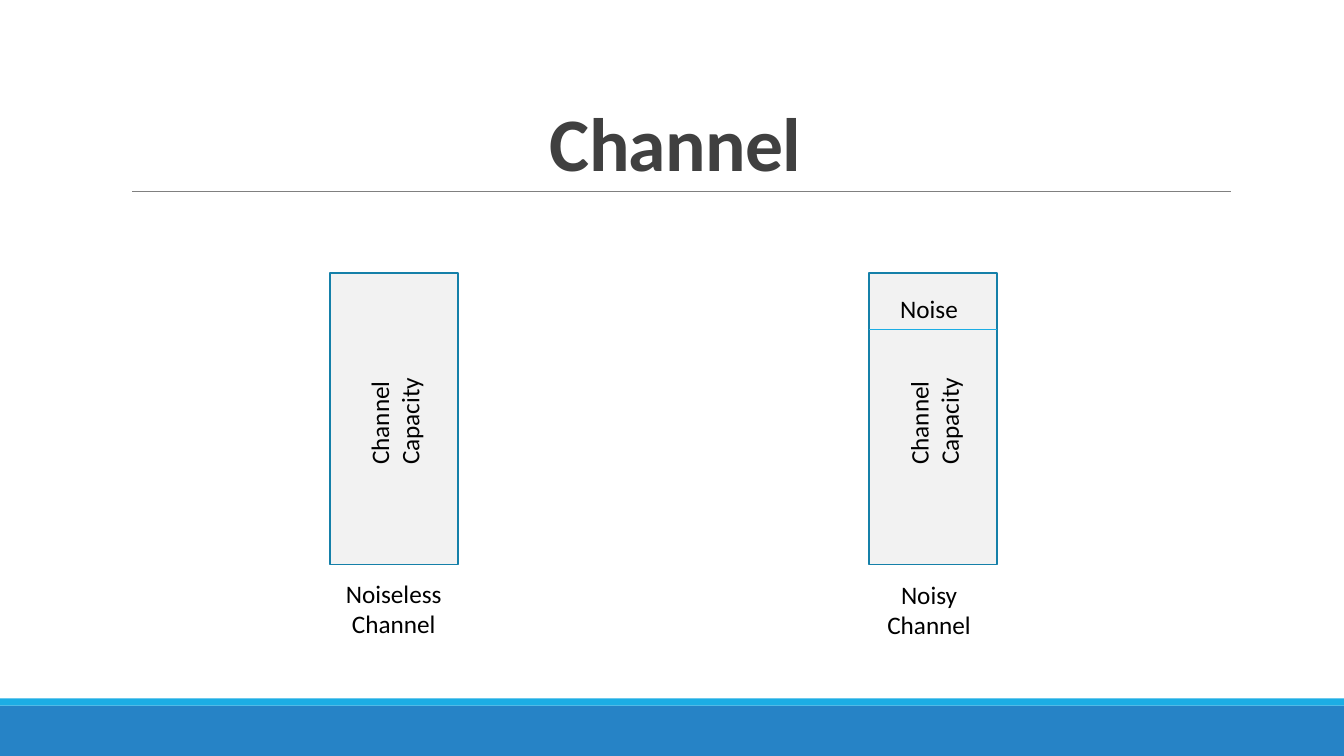
from dataclasses import dataclass

from lxml import etree
from pptx import Presentation
from pptx.dml.color import RGBColor
from pptx.enum.shapes import MSO_CONNECTOR, MSO_SHAPE
from pptx.enum.text import MSO_ANCHOR, MSO_AUTO_SIZE, PP_ALIGN
from pptx.oxml.ns import qn
from pptx.util import Pt

RECTANGLE = MSO_SHAPE.RECTANGLE
STRAIGHT = MSO_CONNECTOR.STRAIGHT
BOTTOM = MSO_ANCHOR.BOTTOM
NO_AUTOFIT = MSO_AUTO_SIZE.NONE
LEFT, CENTER = PP_ALIGN.LEFT, PP_ALIGN.CENTER


@dataclass(frozen=True)
class Theme:
    font: str = "Calibri"
    title_size: int = 54
    label_size: int = 18
    title: str = "404040"
    text: str = "000000"
    rule: str = "808080"
    footer: str = "2683C6"
    accent: str = "1CADE4"
    channel_fill: str = "F2F2F2"
    channel_line: str = "1580A9"


THEME = Theme()
EMU_PER_PX = 9144
SLIDE_WIDTH, SLIDE_HEIGHT = 1333, 750

TITLE = "Channel"
CAPACITY = ["Channel", "Capacity"]
NOISE = "Noise"
CHANNELS = [
    {"left": 327, "caption": ["Noiseless", "Channel"], "caption_at": (327, 569), "noisy": False},
    {"left": 862, "caption": ["Noisy", "Channel"], "caption_at": (858, 570), "noisy": True},
]

CHANNEL_TOP, CHANNEL_WIDTH, CHANNEL_HEIGHT = 271, 127, 289
NOISE_HEIGHT = 56
CAPACITY_OFFSET, CAPACITY_TOP, CAPACITY_WIDTH = 9, 380, 111
NOISE_OFFSET, NOISE_TOP, NOISE_WIDTH = 21, 286, 78
LINE_HEIGHT, TWO_LINE_HEIGHT = 40, 71


def px(*lengths):
    return [length * EMU_PER_PX for length in lengths]


def color(value):
    return RGBColor.from_string(value)


def add_run(paragraph, text, size, text_color):
    run = paragraph.add_run()
    run.text = text
    run.font.name = THEME.font
    run.font.size = Pt(size)
    run.font.color.rgb = color(text_color)
    return run


def add_title(slide):
    title = slide.shapes.title
    title.left, title.top, title.width, title.height = px(120, 31, 1100, 159)
    frame = title.text_frame
    frame.auto_size = NO_AUTOFIT
    frame.vertical_anchor = BOTTOM
    paragraph = frame.paragraphs[0]
    paragraph.alignment = CENTER
    paragraph.line_spacing = 0.85
    run = add_run(paragraph, TITLE, THEME.title_size, THEME.title)
    run.font.bold = True
    run._r.get_or_add_rPr().set("spc", "-50")


def add_rectangle(slide, box, fill, line=None):
    shape = slide.shapes.add_shape(RECTANGLE, *px(*box))
    shape.shadow.inherit = False
    shape.fill.solid()
    shape.fill.fore_color.rgb = color(fill)
    if line:
        shape.line.color.rgb = color(line)
        shape.line.width = Pt(1.25)
    else:
        shape.line.fill.background()


def add_horizontal_line(slide, left, right, top, line_color, width):
    connector = slide.shapes.add_connector(STRAIGHT, *px(left, top, right, top))
    connector.line.color.rgb = color(line_color)
    connector.line.width = Pt(width)
    etree.SubElement(connector._element.spPr, qn("a:effectLst"))


def add_label(slide, lines, box, alignment=LEFT, rotation=0, wrap=True):
    label = slide.shapes.add_textbox(*px(*box))
    label.rotation = rotation
    frame = label.text_frame
    frame.word_wrap = wrap
    for index, line in enumerate(lines):
        paragraph = frame.add_paragraph() if index else frame.paragraphs[0]
        paragraph.alignment = alignment
        add_run(paragraph, line, THEME.label_size, THEME.text)


def add_channel(slide, channel):
    left = channel["left"]
    add_rectangle(slide, (left, CHANNEL_TOP, CHANNEL_WIDTH, CHANNEL_HEIGHT),
                  THEME.channel_fill, THEME.channel_line)
    add_label(slide, CAPACITY,
              (left + CAPACITY_OFFSET, CAPACITY_TOP, CAPACITY_WIDTH, TWO_LINE_HEIGHT),
              rotation=270)
    if channel["noisy"]:
        add_horizontal_line(slide, left, left + CHANNEL_WIDTH,
                            CHANNEL_TOP + NOISE_HEIGHT, THEME.accent, 1)
        add_label(slide, [NOISE], (left + NOISE_OFFSET, NOISE_TOP, NOISE_WIDTH, LINE_HEIGHT),
                  wrap=False)
    add_label(slide, channel["caption"],
              (*channel["caption_at"], CHANNEL_WIDTH, TWO_LINE_HEIGHT), CENTER)


def main():
    presentation = Presentation()
    presentation.slide_width, presentation.slide_height = px(SLIDE_WIDTH, SLIDE_HEIGHT)
    slide = presentation.slides.add_slide(presentation.slide_layouts[5])
    add_rectangle(slide, (0, 700, SLIDE_WIDTH, 50), THEME.footer)
    add_rectangle(slide, (0, 693, SLIDE_WIDTH, 7), THEME.accent)
    add_horizontal_line(slide, 131, 1221, 190, THEME.rule, 0.5)
    add_title(slide)
    for channel in CHANNELS:
        add_channel(slide, channel)
    presentation.save("out.pptx")


if __name__ == "__main__":
    main()
